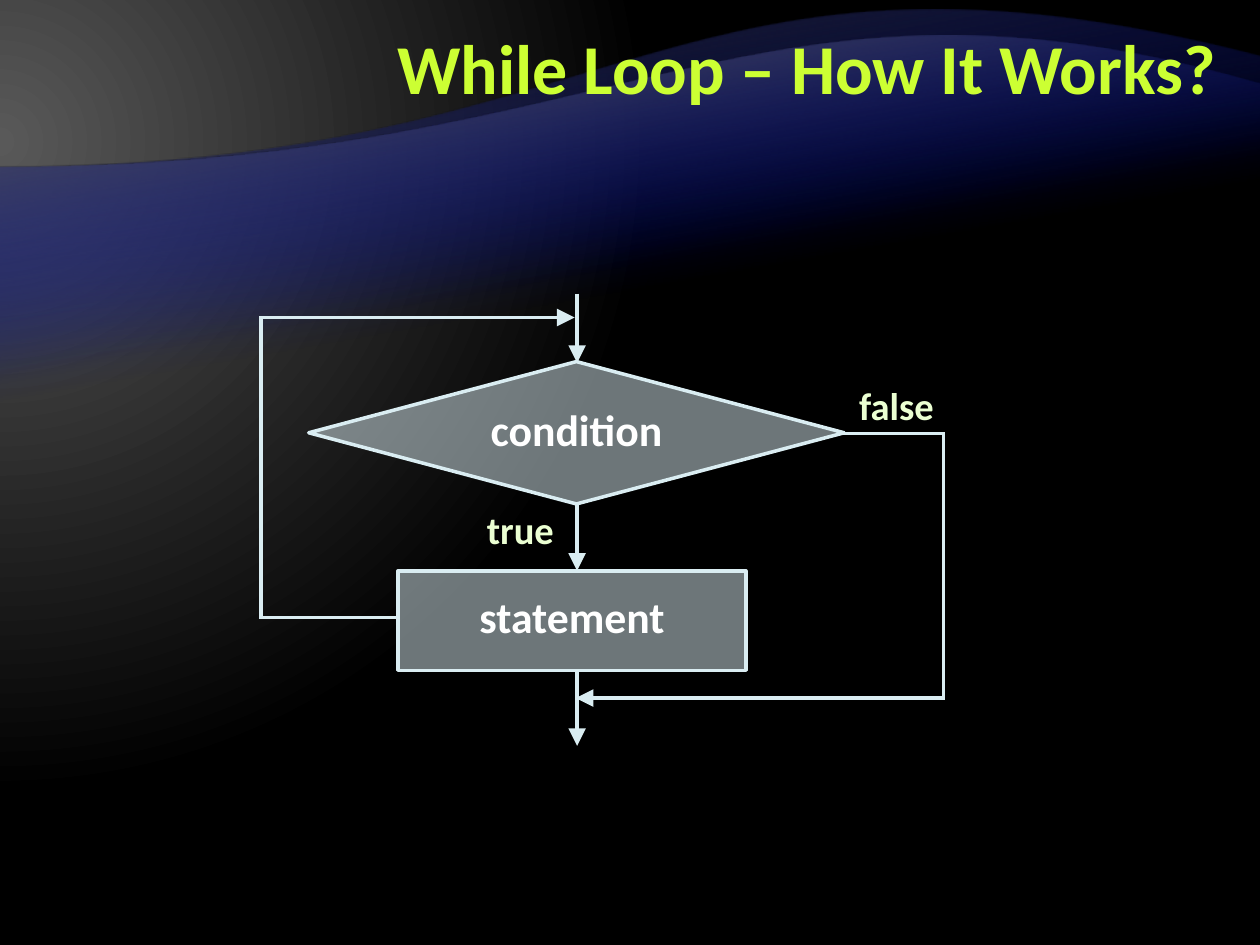
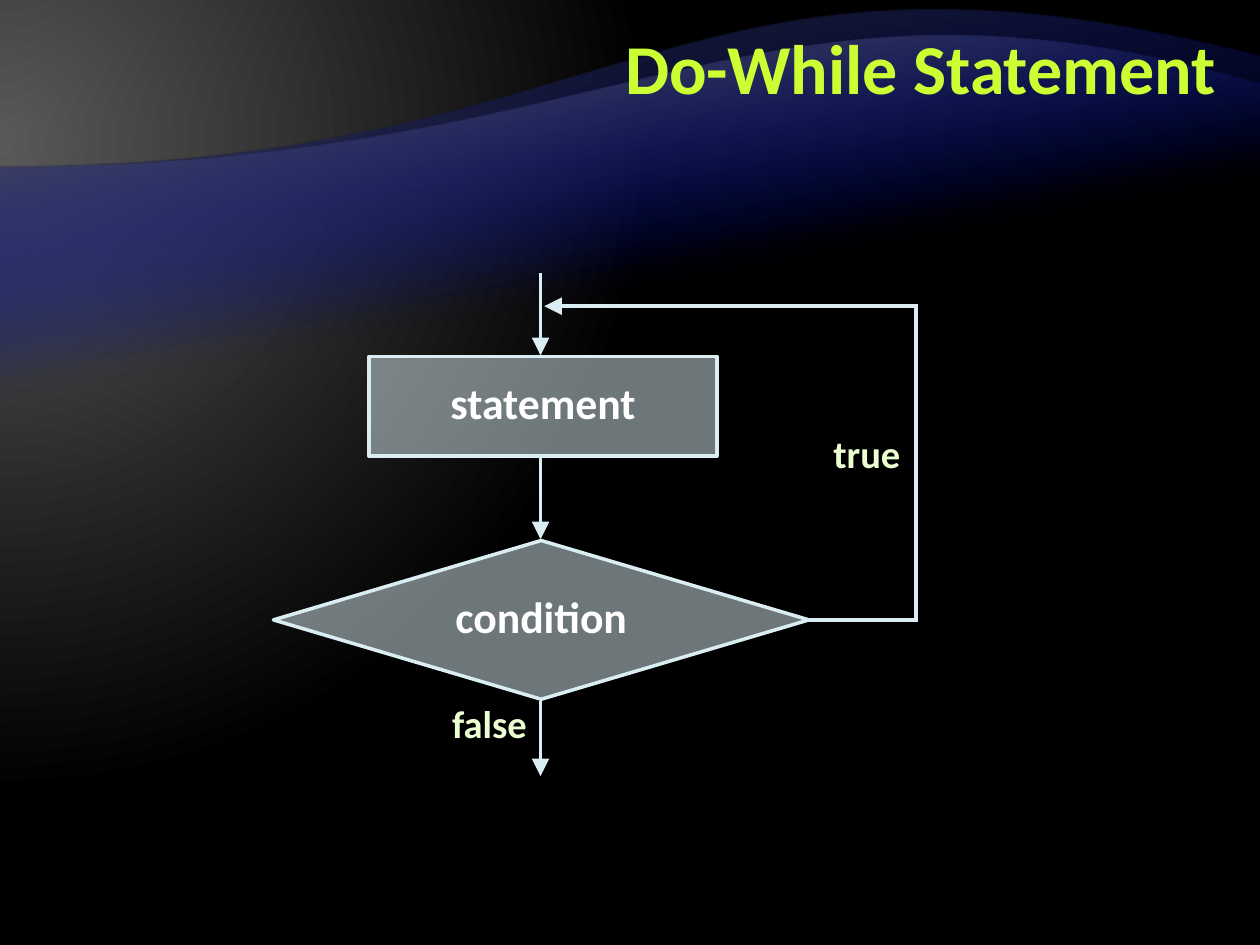
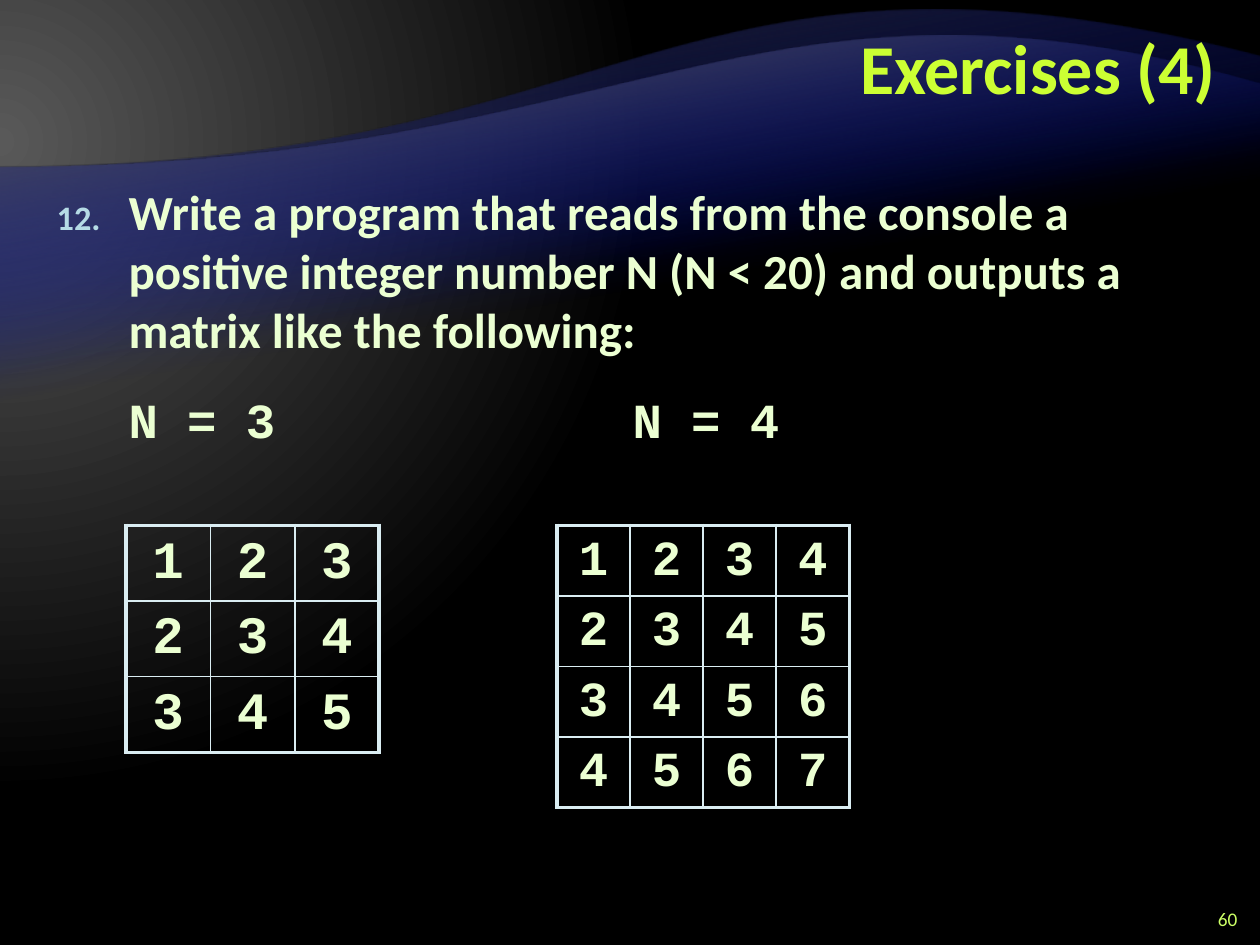
import dataclasses

import pptx
import pptx.dml.color
import pptx.enum.shapes
import pptx.enum.text
import pptx.oxml
import pptx.oxml.ns
import pptx.util
from pptx.util import Inches, Pt

Align = pptx.enum.text.PP_ALIGN
Anchor = pptx.enum.text.MSO_ANCHOR
Shape = pptx.enum.shapes.MSO_SHAPE


@dataclasses.dataclass(frozen=True)
class Theme:
    font: str = "Calibri"
    code_font: str = "Courier New"
    title: str = "CCFF33"
    body: str = "EBFFD2"
    line: str = "DAEDF2"
    white: str = "FFFFFF"
    number: str = "CCFF66"
    bullet: str = "B5DBE5"
    title_size: int = 40
    body_size: int = 28
    step_size: int = 25
    label_size: int = 22
    number_size: int = 11
    line_width: float = 2
    thick_border: float = 2.25
    thin_border: float = 1


THEME = Theme()

# Content: boxes are left, top, width, height; routes are corner points, all in inches
FLOWCHARTS = [
    {
        "title": "While Loop – How It Works?",
        "steps": [
            ("condition", Shape.FLOWCHART_DECISION, (2.45, 2.87, 4.25, 1.13)),
            ("statement", Shape.RECTANGLE, (3.16, 4.53, 2.76, 0.79)),
        ],
        "labels": [("true", (3.62, 4.02, 1.02, 0.42)), ("false", (6.64, 3.04, 0.95, 0.42))],
        "routes": [
            [(4.58, 2.33), (4.58, 2.88)],
            [(4.58, 4), (4.58, 4.53)],
            [(4.58, 5.31), (4.58, 5.92)],
            [(6.7, 3.44), (7.49, 3.44), (7.49, 5.54), (4.57, 5.54)],
            [(3.15, 4.9), (2.07, 4.9), (2.07, 2.52), (4.56, 2.52)],
        ],
    },
    {
        "title": "Do-While Statement",
        "steps": [
            ("statement", Shape.RECTANGLE, (2.93, 2.83, 2.76, 0.79)),
            ("condition", Shape.FLOWCHART_DECISION, (2.17, 4.29, 4.25, 1.26)),
        ],
        "labels": [("true", (6.37, 3.42, 1.02, 0.42)), ("false", (3.41, 5.56, 0.95, 0.42))],
        "routes": [
            [(4.29, 2.17), (4.29, 2.82)],
            [(4.29, 3.62), (4.29, 4.28)],
            [(4.29, 5.56), (4.29, 6.16)],
            [(6.42, 4.92), (7.27, 4.92), (7.27, 2.43), (4.32, 2.43)],
        ],
    },
]
EXERCISE = {
    "title": "Exercises (4)",
    "task": "Write a program that reads from the console a positive integer number N "
            "(N < 20) and outputs a matrix like the following:",
    "number": 12,
    "sizes": "\tN = 3\t\t\tN = 4",
    "page": "60",
}
# Matrix order, left, column width, row height, text size
MATRICES = [(3, 1, 0.67, 0.6, 30), (4, 4.42, 0.58, 0.56, 28)]
MATRIX_TOP = 4.17
CELL_BOTTOM_MARGIN = 0.01
BODY_INDENT = 0.57

# Waves: the four Bezier points of the upper edge, the lower edge, the colour at the top
PAGE_WIDTH = 10
WAVES = [
    ([(0, 1.33), (5, 1.33), (5.34, -0.75), (10, 0.45)], 6.53, "262626"),
    ([(0, 1.33), (5, 1.33), (5.98, -0.49), (10, 0.67)], 5.57, "595959"),
]


# Helpers
def color(value):
    return pptx.dml.color.RGBColor.from_string(value)


def inches(values):
    return [Inches(value) for value in values]


def add_xml(parent, body):
    tag, rest = body.split(" ", 1) if " " in body.split(">")[0] else (body[:-2], "/>")
    namespace = pptx.oxml.ns.nsdecls("a")
    child = pptx.oxml.parse_xml(f"{tag} {namespace} {rest}")
    parent.append(child)
    return child


def set_gradient(fill, parent, stops, direction):
    """Fill with stops of (percent, colour, opacity percent)."""
    fill.gradient()
    marks = "".join(
        f'<a:gs pos="{place * 1000}"><a:srgbClr val="{value}">'
        f'<a:alpha val="{opacity * 1000}"/></a:srgbClr></a:gs>'
        for place, value, opacity in stops)
    plain = parent.find(pptx.oxml.ns.qn("a:gradFill"))
    gradient = add_xml(
        parent, f'<a:gradFill rotWithShape="1"><a:gsLst>{marks}</a:gsLst>{direction}</a:gradFill>')
    parent.replace(plain, gradient)


def style(para, size, value, font=THEME.font, bold=True, align=None, spacing=None):
    para.font.name = font
    para.font.size = Pt(size)
    para.font.bold = bold
    para.font.color.rgb = color(value)
    para.alignment = align
    para.line_spacing = spacing


def place(shape, box):
    shape.left, shape.top, shape.width, shape.height = inches(box)


def set_text(shape, text, size, value, anchor=Anchor.MIDDLE, **options):
    frame = shape.text_frame
    frame.word_wrap = True
    frame.vertical_anchor = anchor
    frame.text = text
    style(frame.paragraphs[0], size, value, **options)


def add_title(page, text):
    title = page.shapes.title
    place(title, (2, 0.08, 7.75, 1))
    set_text(title, text, THEME.title_size, THEME.title, align=Align.RIGHT,
             spacing=Pt(THEME.title_size))
    title.text_frame.auto_size = pptx.enum.text.MSO_AUTO_SIZE.NONE


# Shared background
def build_wave(page, edge, bottom):
    """Outline a wave turned by half a circle, so its curve is the upper edge."""
    top = edge[-1][1]
    corners = [(0, top), (PAGE_WIDTH, top), (PAGE_WIDTH, bottom), (0, bottom)]
    outline = [inches(corner) for corner in corners]
    builder = page.shapes.build_freeform(*outline[0])
    builder.add_line_segments(outline[1:], close=True)
    wave = builder.convert_to_shape()
    wave.rotation = 180

    def mark(point):
        x, y = inches((PAGE_WIDTH - point[0], bottom - point[1]))
        return f'<a:pt x="{x}" y="{y}"/>'

    curve = "".join(mark(point) for point in edge[1:])
    paths = wave.element.spPr.find(".//" + pptx.oxml.ns.qn("a:pathLst"))
    paths.remove(paths[0])
    add_xml(paths, f'<a:path w="{wave.width}" h="{wave.height}">'
                   f'<a:moveTo>{mark((PAGE_WIDTH, bottom))}</a:moveTo>'
                   f'<a:lnTo>{mark((0, bottom))}</a:lnTo><a:lnTo>{mark(edge[0])}</a:lnTo>'
                   f'<a:cubicBezTo>{curve}</a:cubicBezTo><a:close/></a:path>')
    return wave


def decorate_master(deck, page):
    master = deck.slide_master
    fill = master.background.fill
    set_gradient(
        fill, master.element.find(".//" + pptx.oxml.ns.qn("p:bgPr")),
        [(0, "595959", 100), (83, "000000", 100), (100, "000000", 100)],
        '<a:path path="circle"><a:fillToRect l="20000" t="30000" r="135000" b="100000"/></a:path>')
    for order, (edge, bottom, top_color) in enumerate(WAVES):
        wave = build_wave(page, edge, bottom)
        wave.shadow.inherit = False
        wave.line.fill.background()
        set_gradient(wave.fill, wave.element.spPr,
                     [(65, "000D9E", 0), (100, top_color, 100)],
                     '<a:lin ang="4800000" scaled="0"/>')
        master.shapes.element.insert(2 + order, wave.element)


# Flowcharts
def add_step(page, text, kind, box):
    step = page.shapes.add_shape(kind, *inches(box))
    step.shadow.inherit = False
    step.fill.solid()
    step.fill.fore_color.rgb = color(THEME.line)
    add_xml(step.element.spPr.find(".//" + pptx.oxml.ns.qn("a:srgbClr")), '<a:alpha val="50000"/>')
    step.line.color.rgb = color(THEME.line)
    step.line.width = Pt(THEME.line_width)
    set_text(step, text, THEME.step_size, THEME.white, align=Align.CENTER, spacing=0.85)


def add_route(page, points):
    for start, end in zip(points, points[1:]):
        line = page.shapes.add_connector(
            pptx.enum.shapes.MSO_CONNECTOR.STRAIGHT, *inches(start + end))
        line.line.color.rgb = color(THEME.line)
        line.line.width = Pt(THEME.line_width)
        outline = line.element.spPr.find(pptx.oxml.ns.qn("a:ln"))
        if len(points) > 2:
            outline.set("cap", "sq")
        if end == points[-1]:
            add_xml(outline, '<a:tailEnd type="triangle" w="lg" len="lg"/>')
        add_xml(line.element.spPr, "<a:effectLst/>")


def add_flowchart(page, chart):
    add_title(page, chart["title"])
    for text, box in chart["labels"]:
        label = page.shapes.add_textbox(*inches(box))
        set_text(label, text, THEME.label_size, THEME.body, anchor=Anchor.TOP,
                 align=Align.CENTER, spacing=0.85)
    for step in chart["steps"]:
        add_step(page, *step)
    for points in chart["routes"]:
        add_route(page, points)


# Exercise
def add_matrix(page, order, left, column_width, row_height, size):
    frame = page.shapes.add_table(order, order, *inches(
        (left, MATRIX_TOP, order * column_width, order * row_height)))
    table = frame.table
    table.first_row = table.horz_banding = False
    for index in range(order):
        table.columns[index].width = Inches(column_width)
        table.rows[index].height = Inches(row_height)
    last = order - 1
    for row in range(order):
        for column in range(order):
            cell = table.cell(row, column)
            cell.margin_bottom = Inches(CELL_BOTTOM_MARGIN)
            cell.text = str(row + column + 1)
            style(cell.text_frame.paragraphs[0], size, THEME.body, THEME.code_font,
                  align=Align.CENTER, spacing=1.05)
            properties = cell._tc.get_or_add_tcPr()
            outer = {"L": column == 0, "R": column == last, "T": row == 0, "B": row == last}
            for side, is_outer in outer.items():
                width = Pt(THEME.thick_border if is_outer else THEME.thin_border)
                add_xml(properties, f'<a:ln{side} w="{width}"><a:solidFill>'
                                    f'<a:srgbClr val="{THEME.line}"/></a:solidFill></a:ln{side}>')
            cell.fill.background()


def add_exercise(page, exercise):
    add_title(page, exercise["title"])
    number = page.shapes.add_textbox(*inches((9.42, 7.17, 0.5, 0.25)))
    set_text(number, exercise["page"], THEME.number_size, THEME.number, bold=False,
             align=Align.RIGHT)

    body = page.placeholders[1]
    place(body, (0.35, 1.39, 9.13, 2.53))
    frame = body.text_frame
    frame.auto_size = pptx.enum.text.MSO_AUTO_SIZE.NONE
    frame.text = exercise["task"]
    frame.add_paragraph().text = exercise["sizes"]
    bullets = [
        [f'<a:buClr ><a:srgbClr val="{THEME.bullet}"/></a:buClr>', '<a:buSzPct val="70000"/>',
         f'<a:buFont typeface="{THEME.font}"/>',
         f'<a:buAutoNum type="arabicPeriod" startAt="{exercise["number"]}"/>'],
        ["<a:buNone/>"],
    ]
    fonts = [THEME.font, THEME.code_font]
    for para, marks, font in zip(frame.paragraphs, bullets, fonts):
        properties = para._p.get_or_add_pPr()
        properties.set("marL", str(Inches(BODY_INDENT)))
        properties.set("indent", str(Inches(-BODY_INDENT)))
        properties.set("defTabSz", str(Inches(1)))
        for mark in marks:
            add_xml(properties, mark)
        para.space_before = Pt(18)
        style(para, THEME.body_size, THEME.body, font)

    for matrix in MATRICES:
        add_matrix(page, *matrix)


def main():
    deck = pptx.Presentation()
    deck.slide_width, deck.slide_height = inches((PAGE_WIDTH, 7.5))
    content_layout, title_layout = deck.slide_layouts[1], deck.slide_layouts[5]
    for chart in FLOWCHARTS:
        add_flowchart(deck.slides.add_slide(title_layout), chart)
    exercise_page = deck.slides.add_slide(content_layout)
    add_exercise(exercise_page, EXERCISE)
    decorate_master(deck, exercise_page)
    deck.save("out.pptx")


if __name__ == "__main__":
    main()
